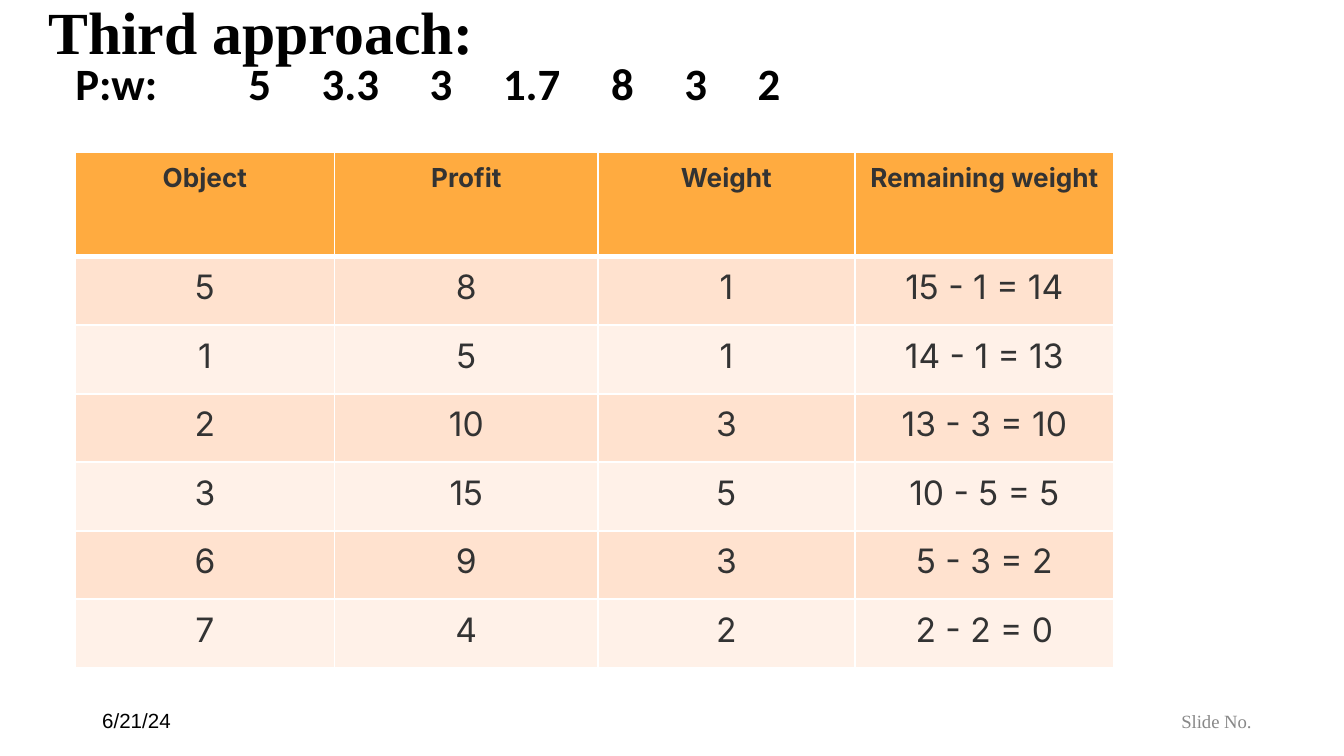
"""Build the slide on the third approach to the knapsack problem."""
from lxml import etree
from pptx import Presentation, util as u
from pptx.dml.color import RGBColor
from pptx.enum import text as t
from pptx.oxml.ns import qn

TITLE = "Third approach:"
LABEL = "P:w:"
RATIOS = ["5", "3.3", "3", "1.7", "8", "3", "2"]
ROWS = [
    ("Object", "Profit", "Weight", "Remaining weight"),
    ("5", "8", "1", "15 - 1 = 14"),
    ("1", "5", "1", "14 - 1 = 13"),
    ("2", "10", "3", "13 - 3 = 10"),
    ("3", "15", "5", "10 - 5 = 5"),
    ("6", "9", "3", "5 - 3 = 2"),
    ("7", "4", "2", "2 - 2 = 0"),
]
WIDTHS = [1.93, 1.96, 1.91, 1.93]
HEAD, BAND = "FFAB40", ["FFF1E8", "FFE2CF"]
TALL, LOW = 0.78, 0.51
WIDE_GAP, GAP = 43.4, 21.7
SERIF = "Times New Roman"


def paint(item, tone):
    item.rgb = RGBColor.from_string(tone)


def write(frame, words, size, face, tone="000000", bold=False, side=t.PP_ALIGN.LEFT):
    frame.text = words
    para = frame.paragraphs[0]
    para.alignment = side
    font = para.font
    font.size, font.name, font.bold = u.Pt(size), face, bold
    paint(font.color, tone)
    return para


def place(shape, left, top, width, height, anchor, pad=0.04, inset=0.07):
    shape.left, shape.top = u.Inches(left), u.Inches(top)
    shape.width, shape.height = u.Inches(width), u.Inches(height)
    frame = shape.text_frame
    frame.word_wrap, frame.auto_size = True, t.MSO_AUTO_SIZE.NONE
    frame.vertical_anchor = anchor
    frame.margin_left, frame.margin_right = u.Inches(inset), u.Inches(0.07)
    frame.margin_top = frame.margin_bottom = u.Inches(pad)
    return frame


def drop_bullet(para):
    props = para._p.get_or_add_pPr()
    props.set("marL", "0")
    props.set("indent", "0")
    props.find(qn("a:defRPr")).addprevious(etree.Element(qn("a:buNone")))


def add_ratios(para):
    for i, value in enumerate(RATIOS):
        space = para.add_run()
        space.text = " "
        space.font._element.set("spc", str(round(100 * (GAP if i else WIDE_GAP))))
        para.add_run().text = value


def rule(cell, sides):
    props = cell._tc.get_or_add_tcPr()
    for side, width in sides.items():
        line = etree.SubElement(props, qn("a:ln" + side), w=str(u.Pt(width)))
        fill = etree.SubElement(line, qn("a:solidFill"))
        etree.SubElement(fill, qn("a:srgbClr"), val="FFFFFF")


def add_grid(slide):
    size = len(ROWS), len(WIDTHS)
    table = slide.shapes.add_table(*size, u.Inches(0.56), u.Inches(1.13), u.Inches(sum(WIDTHS)),
                                   u.Inches(TALL + LOW * (len(ROWS) - 1))).table
    for col, width in zip(table.columns, WIDTHS):
        col.width = u.Inches(width)
    for i, row in enumerate(ROWS):
        top = i == 0
        table.rows[i].height = u.Inches(TALL if top else LOW)
        for j, words in enumerate(row):
            cell = table.cell(i, j)
            cell.margin_left = cell.margin_right = u.Inches(0.08)
            cell.margin_top = cell.margin_bottom = u.Inches(0.08)
            write(cell.text_frame, words, 14 if top else 18, "Inter", "333333", top, t.PP_ALIGN.CENTER)
            rule(cell, {"L": 1, "R": 1, "T": 3 if i == 1 else 1, "B": 3 if top else 1})
            cell.fill.solid()
            paint(cell.fill.fore_color, HEAD if top else BAND[i % 2])


def main():
    deck = Presentation()
    deck.slide_width = u.Inches(10)
    deck.slide_height = deck.slide_width * 9 // 16
    slide = deck.slides.add_slide(deck.slide_layouts[1])
    title, body = slide.placeholders
    top, middle = t.MSO_ANCHOR.TOP, t.MSO_ANCHOR.MIDDLE

    frame = place(title, 0.29, 0, 9.34, 0.53, middle)
    write(frame, TITLE, 32, SERIF, bold=True).line_spacing = 0.9

    frame = place(body, 0.34, 0.42, 9.32, 4.68, top, inset=0.22)
    para = write(frame, LABEL, 24, "Calibri", bold=True, side=t.PP_ALIGN.JUSTIFY)
    para.line_spacing, para.space_before = 0.9, u.Pt(8)
    drop_bullet(para)
    add_ratios(para)

    number = slide.shapes.add_textbox(0, 0, 0, 0)
    write(place(number, 8.72, 5.21, 1.13, 0.3, top, 0.07), "Slide No.", 10, SERIF, "888888")
    date = slide.shapes.add_textbox(0, 0, 0, 0)
    write(place(date, 0.69, 5.21, 2.25, 0.3, middle), "6/21/24", 11, "Arial")
    add_grid(slide)
    deck.save("out.pptx")


if __name__ == "__main__":
    main()
